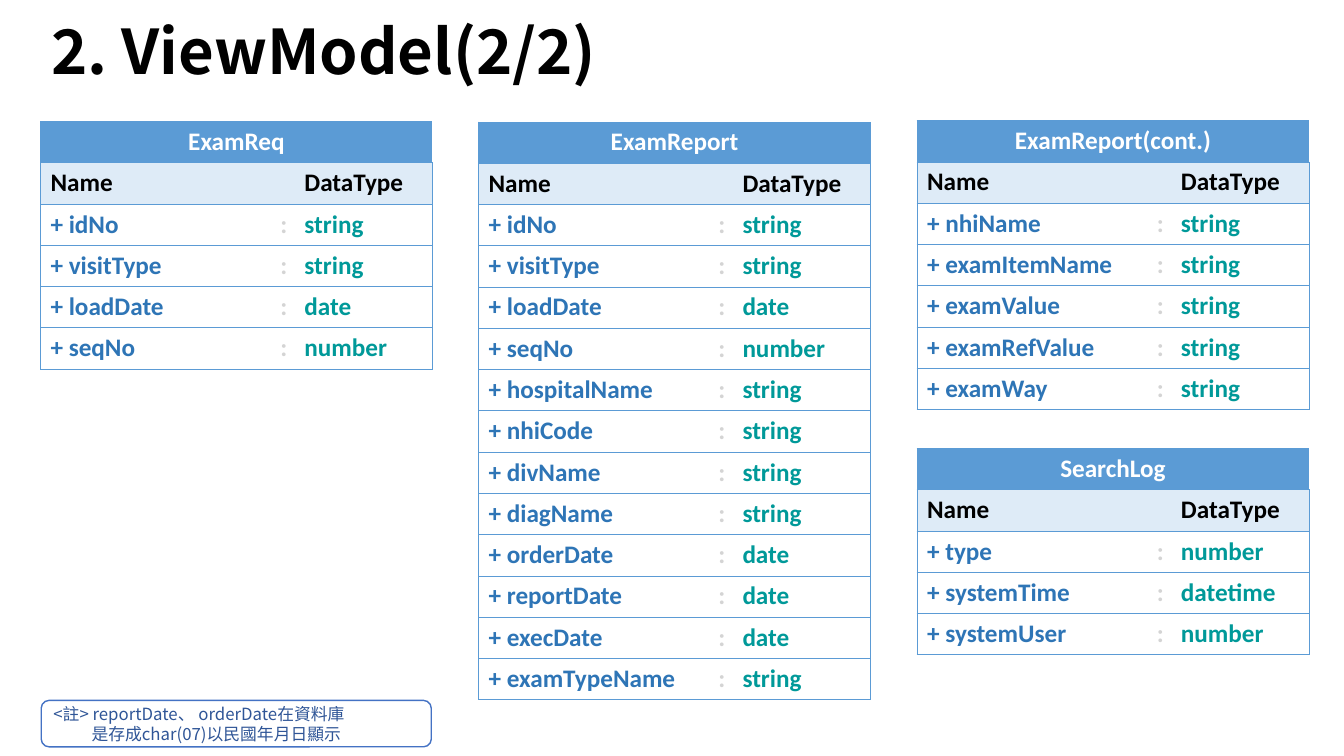
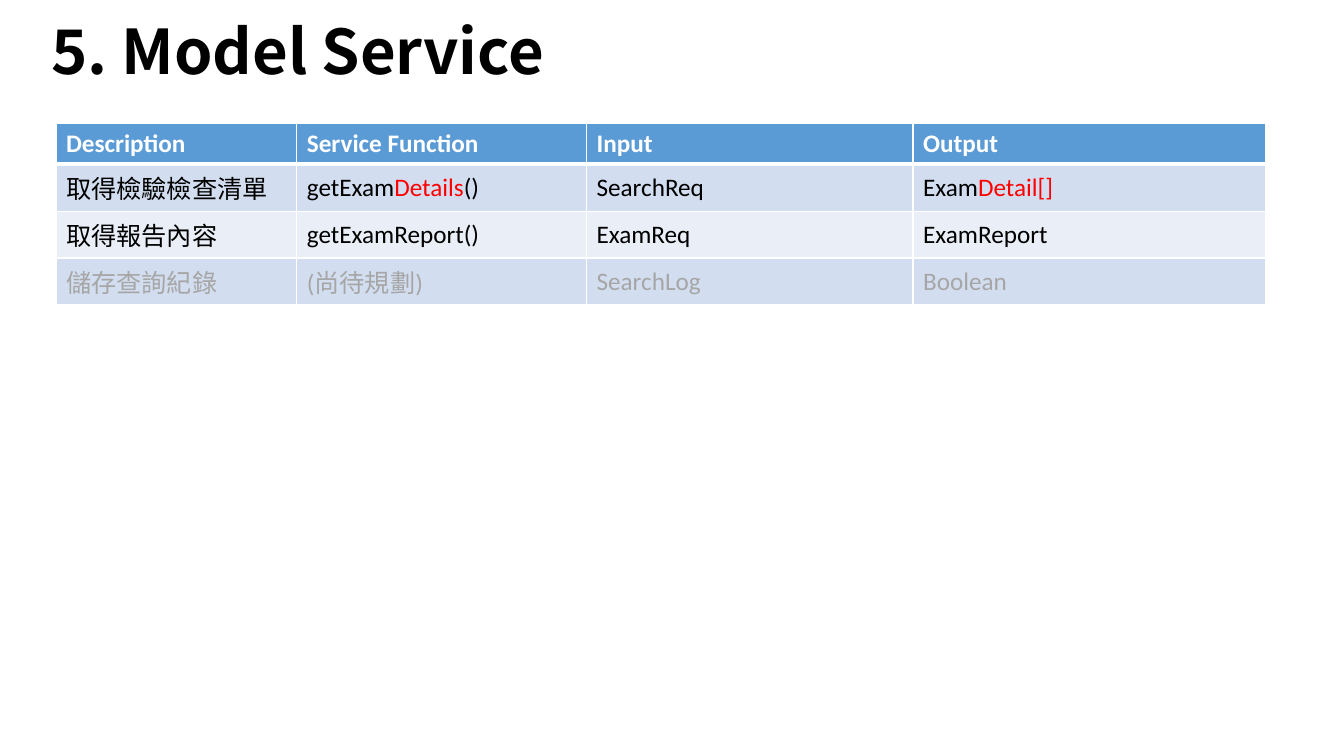
from dataclasses import dataclass
from typing import Any, NamedTuple

from lxml.etree import SubElement
from pptx import Presentation
from pptx.dml.color import RGBColor
from pptx.enum.shapes import MSO_SHAPE
from pptx.enum.text import MSO_ANCHOR, MSO_AUTO_SIZE, PP_ALIGN
from pptx.oxml.ns import qn
from pptx.util import Cm, Pt

LATIN, CJK = "Calibri", "Noto Sans CJK SC"
BLACK, WHITE, RED, GRAY = "000000", "FFFFFF", "FF0000", "A6A6A6"
BLUE, PALE_BLUE, FIELD, COLON, TYPE = "5B9BD5", "DEEBF7", "2E75B6", "D4D4D4", "009999"
BAND_DARK, BAND_LIGHT = "D2DEEF", "EAEFF7"
NOTE_LINE, NOTE_TEXT = "4472C4", "2F5597"
TITLE_BOX = {"left": Cm(1.04), "top": Cm(-0.25), "width": Cm(23.62), "height": Cm(3.25)}
TITLE_FRAME = {"vertical_anchor": MSO_ANCHOR.MIDDLE, "word_wrap": True,
               "auto_size": MSO_AUTO_SIZE.NONE}
TITLE_FONT = {"name": CJK, "size": Pt(44), "bold": True}
STRONG = {"name": LATIN, "size": Pt(18), "bold": True}
PLAIN = {**STRONG, "bold": False}
NOTE_FONT = {"name": CJK, "size": Pt(12), "bold": False}
ENTITY_COLS = (5.79, 0.58, 3.48)
SERVICE_COLS = (6.07, 7.3, 8.23, 8.89)
ROW_H, BAND_H = 1.04, 1.18


class Piece(NamedTuple):
    """Text in one colour."""
    text: str
    color: str


class Border(NamedTuple):
    """Line on one side of a cell."""
    color: str
    points: float


@dataclass(frozen=True)
class Entity:
    """View model listed as a table of fields and types."""
    name: str
    x: float
    y: float
    fields: dict[str, str]


@dataclass(frozen=True)
class Service:
    """Row of the service table."""
    cells: tuple[tuple[Piece, ...], ...]
    fill: str
    font: dict[str, Any]


ENTITIES = (
    Entity("ExamReq", 1.02, 3.06, {
        "idNo": "string", "visitType": "string", "loadDate": "date", "seqNo": "number"}),
    Entity("ExamReport", 12.06, 3.07, {
        "idNo": "string", "visitType": "string", "loadDate": "date", "seqNo": "number",
        "hospitalName": "string", "nhiCode": "string", "divName": "string",
        "diagName": "string", "orderDate": "date", "reportDate": "date",
        "execDate": "date", "examTypeName": "string"}),
    Entity("ExamReport(cont.)", 23.11, 3.04, {
        "nhiName": "string", "examItemName": "string", "examValue": "string",
        "examRefValue": "string", "examWay": "string"}),
    Entity("SearchLog", 23.11, 11.3, {
        "type": "number", "systemTime": "datetime", "systemUser": "number"}),
)


def same(color: str, *texts: str) -> tuple[tuple[Piece, ...], ...]:
    """Return one single-piece cell per text, all in one colour."""
    return tuple((Piece(t, color),) for t in texts)


SERVICES = (
    Service(same(WHITE, "Description", "Service Function", "Input", "Output"), BLUE, STRONG),
    Service((
        (Piece("取得檢驗檢查清單", BLACK),),
        (Piece("getExam", BLACK), Piece("Details", RED), Piece("()", BLACK)),
        (Piece("SearchReq", BLACK),),
        (Piece("Exam", BLACK), Piece("Detail[]", RED)),
    ), BAND_DARK, PLAIN),
    Service(same(BLACK, "取得報告內容", "getExamReport()", "ExamReq", "ExamReport"),
            BAND_LIGHT, PLAIN),
    Service(same(GRAY, "儲存查詢紀錄", "(尚待規劃)", "SearchLog", "Boolean"),
            BAND_DARK, PLAIN),
)


def rgb(color: str) -> RGBColor:
    """Turn a hex string into a colour."""
    return RGBColor.from_string(color)


def apply(obj: Any, values: dict[str, Any]) -> None:
    """Set every named attribute on an object."""
    for k, v in values.items():
        setattr(obj, k, v)


def write(p: Any, pieces: tuple[Piece, ...], font: dict[str, Any]) -> None:
    """Add coloured runs to a paragraph."""
    for piece in pieces:
        r = p.add_run()
        r.text = piece.text
        apply(r.font, font)
        r.font.color.rgb = rgb(piece.color)
        SubElement(r.font._element, qn("a:ea"), typeface=CJK)


def style_cell(cell: Any, fill: str | None, borders: dict[str, Border]) -> None:
    """Set the four borders and the fill of a cell."""
    tcPr = cell._tc.get_or_add_tcPr()
    for side in "LRTB":
        border = borders.get(side)
        width = Pt(border.points) if border else 0
        ln = SubElement(tcPr, qn(f"a:ln{side}"), w=str(int(width)))
        if border:
            solid = SubElement(ln, qn("a:solidFill"))
            SubElement(solid, qn("a:srgbClr"), val=border.color)
        else:
            SubElement(ln, qn("a:noFill"))
    if fill:
        cell.fill.solid()
        cell.fill.fore_color.rgb = rgb(fill)
    else:
        cell.fill.background()


def add_grid(s: Any, x: float, y: float, cols: tuple[float, ...], rows: list[float]) -> Any:
    """Add a table with the given column widths and row heights in cm."""
    tbl = s.shapes.add_table(len(rows), len(cols), Cm(x), Cm(y),
                             Cm(sum(cols)), Cm(sum(rows))).table
    for col, w in zip(tbl.columns, cols):
        col.width = Cm(w)
    for row, h in zip(tbl.rows, rows):
        row.height = Cm(h)
    return tbl


def add_entity(s: Any, entity: Entity) -> None:
    """Draw a view model table."""
    rows = [same(WHITE, entity.name), same(BLACK, "Name", "", "DataType")]
    rows += [((Piece(f"+ {name}", FIELD),), (Piece(":", COLON),), (Piece(kind, TYPE),))
             for name, kind in entity.fields.items()]
    tbl = add_grid(s, entity.x, entity.y, ENTITY_COLS, [ROW_H] * len(rows))
    line = Border(BLUE, 0.5)
    for i in range(len(rows)):
        fill = {0: BLUE, 1: PALE_BLUE}.get(i)
        for j, edge in enumerate(("L", "", "R")):
            style_cell(tbl.cell(i, j), fill, {side: line for side in "TB" + edge})
    tbl.cell(0, 0).merge(tbl.cell(0, 2))
    for i, row in enumerate(rows):
        for j, pieces in enumerate(row):
            p = tbl.cell(i, j).text_frame.paragraphs[0]
            p.alignment = PP_ALIGN.LEFT if i else PP_ALIGN.CENTER
            p.font.size = Pt(18)
            if pieces[0].text:
                write(p, pieces, STRONG)


def add_services(s: Any) -> None:
    """Draw the banded service table."""
    heights = [1.02] + [BAND_H] * (len(SERVICES) - 1)
    tbl = add_grid(s, 1.41, 3.11, SERVICE_COLS, heights)
    thin, thick = Border(WHITE, 1), Border(WHITE, 3)
    for i, service in enumerate(SERVICES):
        borders = {"L": thin, "R": thin, "T": thick if i == 1 else thin,
                   "B": thin if i else thick}
        for j, pieces in enumerate(service.cells):
            cell = tbl.cell(i, j)
            style_cell(cell, service.fill, borders)
            cell.vertical_anchor = MSO_ANCHOR.MIDDLE
            write(cell.text_frame.paragraphs[0], pieces, service.font)


def add_note(s: Any) -> None:
    """Draw the rounded footnote with an indented second line."""
    sp = s.shapes.add_shape(MSO_SHAPE.ROUNDED_RECTANGLE, Cm(1.04), Cm(17.65),
                            Cm(9.83), Cm(1.17))
    sp.shadow.inherit = False
    sp.fill.solid()
    sp.fill.fore_color.rgb = rgb(WHITE)
    sp.line.color.rgb = rgb(NOTE_LINE)
    sp.line.width = Pt(1)
    tf = sp.text_frame
    apply(tf, {"vertical_anchor": MSO_ANCHOR.MIDDLE, "word_wrap": True})
    lines = {"<註> reportDate、 orderDate在資料庫": 0, "是存成char(07)以民國年月日顯示": 0.96}
    for i, (text, indent) in enumerate(lines.items()):
        p = tf.add_paragraph() if i else tf.paragraphs[0]
        p.alignment = PP_ALIGN.LEFT
        p._p.get_or_add_pPr().set("marL", str(int(Cm(indent))))
        write(p, (Piece(text, NOTE_TEXT),), NOTE_FONT)


def add_slide(prs: Any, title: str) -> Any:
    """Add a slide with the shared title style."""
    s = prs.slides.add_slide(prs.slide_layouts[5])
    sp = s.shapes.title
    apply(sp, TITLE_BOX)
    apply(sp.text_frame, TITLE_FRAME)
    p = sp.text_frame.paragraphs[0]
    apply(p, {"alignment": PP_ALIGN.LEFT, "line_spacing": 0.9})
    write(p, (Piece(title, BLACK),), TITLE_FONT)
    return s


def main() -> None:
    """Build and save the presentation."""
    prs = Presentation()
    apply(prs, {"slide_width": Cm(33.87), "slide_height": Cm(19.05)})
    s = add_slide(prs, "2. ViewModel(2/2)")
    add_note(s)
    for entity in ENTITIES:
        add_entity(s, entity)
    add_services(add_slide(prs, "5. Model Service"))
    prs.save("out.pptx")


if __name__ == "__main__":
    main()
